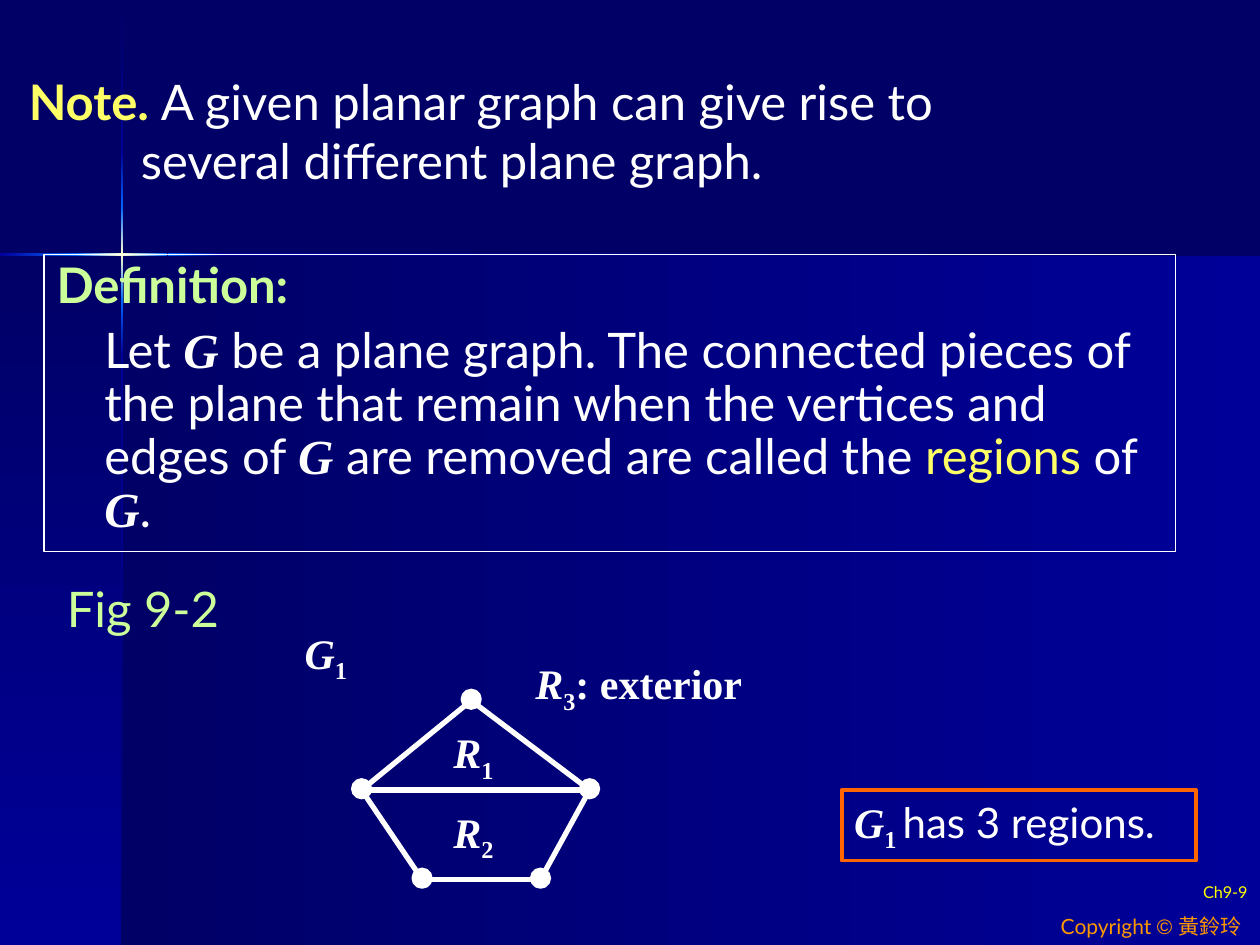
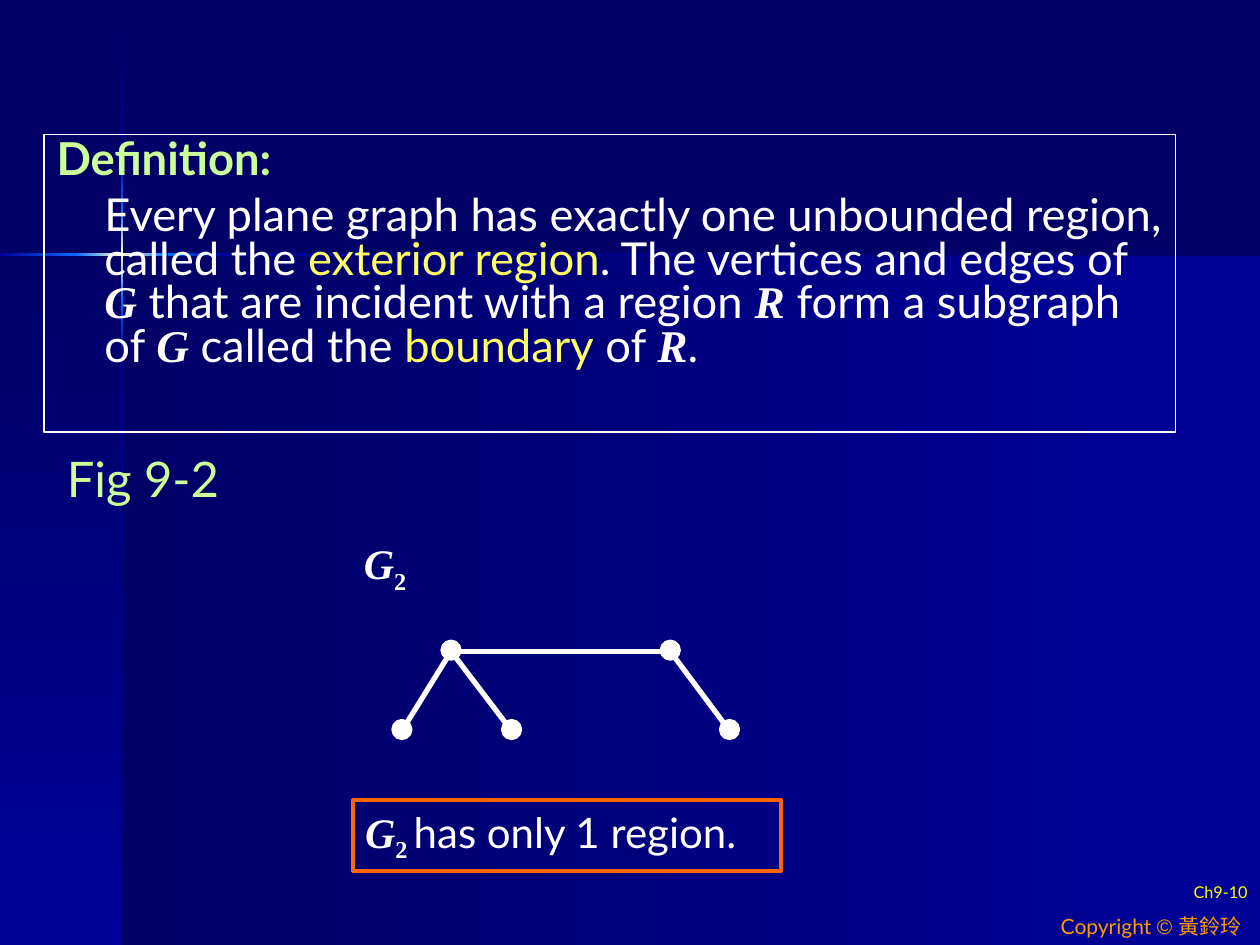
from itertools import pairwise

from pptx import Presentation
from pptx import util as u
from pptx.dml.color import RGBColor
from pptx.enum import shapes, text
from pptx.oxml import parse_xml
from pptx.oxml.ns import nsdecls
from pptx.oxml.xmlchemy import OxmlElement

NAVY = RGBColor(0x00, 0x00, 0x66)
BLUE = RGBColor(0x00, 0x00, 0x99)
AZURE = RGBColor(0x00, 0x66, 0xFF)
CREAM = RGBColor(0xFF, 0xFF, 0xCC)
WHITE = RGBColor(0xFF, 0xFF, 0xFF)
LIME = RGBColor(0xCC, 0xFF, 0x99)
LEMON = RGBColor(0xFF, 0xFF, 0x66)
YELLOW = RGBColor(0xFF, 0xFF, 0x00)
AMBER = RGBColor(0xFF, 0x99, 0x00)
ORANGE = RGBColor(0xFF, 0x66, 0x00)

PLAIN = {"name": "Lato", "bold": False, "italic": False, "color": WHITE}
TERM = PLAIN | {"color": LEMON}
NOTE = TERM | {"bold": True}
FIGURE = PLAIN | {"color": LIME}
HEADING = FIGURE | {"bold": True}
CREDIT = PLAIN | {"color": AMBER}
PAGE = PLAIN | {"color": YELLOW}
SYMBOL = PLAIN | {"name": "Times New Roman", "bold": True, "italic": True}
SERIF = SYMBOL | {"italic": False}
SUB = SERIF | {"baseline": -25000}

DOT = 0.14
G = ("G", SYMBOL)
R = ("R", SYMBOL)


def box(left, top, width, height):
    return [u.Inches(n) for n in (left, top, width, height)]


def write(paragraph, runs, size, margin=0, indent=0, **formats):
    """Fill a paragraph with (text, style) runs; a newline run is a line break."""
    for key, value in formats.items():
        setattr(paragraph, key, value)
    p_pr = paragraph._p.get_or_add_pPr()
    p_pr.set("marL", str(u.Inches(margin)))
    p_pr.set("indent", str(u.Inches(indent)))
    for words, style in runs:
        if words == "\n":
            paragraph.add_line_break()
            continue
        run = paragraph.add_run()
        run.text = words
        run.font.size = u.Pt(size)
        for key, value in style.items():
            if key == "color":
                run.font.color.rgb = value
            elif key == "baseline":
                run._r.get_or_add_rPr().set("baseline", str(value))
            else:
                setattr(run.font, key, value)


def add_label(slide, place, runs, size=24, fit=True, **formats):
    label = slide.shapes.add_textbox(*box(*place))
    frame = label.text_frame
    frame.word_wrap = not fit
    if fit:
        frame.auto_size = text.MSO_AUTO_SIZE.SHAPE_TO_FIT_TEXT
    write(frame.paragraphs[0], runs, size, **formats)
    return label


def add_frame(slide, place, color, weight):
    """Add an unfilled, outlined rectangle and return its text frame."""
    outline = slide.shapes.add_shape(shapes.MSO_SHAPE.RECTANGLE, *box(*place))
    outline.shadow.inherit = False
    outline.fill.background()
    outline.line.color.rgb = color
    outline.line.width = u.Pt(weight)
    frame = outline.text_frame
    frame.word_wrap = True
    frame.vertical_anchor = text.MSO_ANCHOR.TOP
    return frame


def add_definition(slide, top, runs, size, spacing):
    frame = add_frame(slide, (0.35, top, 8.98, 2.36), WHITE, 0.75)
    formats = {"alignment": text.PP_ALIGN.LEFT, "line_spacing": spacing,
               "space_before": u.Pt(7)}
    write(frame.paragraphs[0], [("Definition:", HEADING)], size, **formats)
    write(frame.add_paragraph(), runs, size, margin=0.38, **formats)


def add_conclusion(slide, place, runs):
    frame = add_frame(slide, place, ORANGE, 2.25)
    write(frame.paragraphs[0], runs, 24, alignment=text.PP_ALIGN.LEFT)


def add_figure_title(slide, top):
    title = slide.placeholders[1]
    title.left, title.top, title.width, title.height = box(0.43, top, 1.73, 0.71)
    title.text_frame.auto_size = text.MSO_AUTO_SIZE.NONE
    paragraph = title.text_frame.paragraphs[0]
    write(paragraph, [("Fig 9-2", FIGURE)], 28, space_before=u.Pt(7))
    paragraph._p.get_or_add_pPr().append(OxmlElement("a:buNone"))


def add_graph(slide, vertices, edges):
    """Draw edges, named by two vertex letters, and a dot on each vertex."""
    for start, end in edges:
        ends = [u.Inches(n) for n in vertices[start] + vertices[end]]
        edge = slide.shapes.add_connector(shapes.MSO_CONNECTOR.STRAIGHT, *ends)
        edge.line.color.rgb = WHITE
        edge.line.width = u.Pt(3)
        edge.element.spPr.append(OxmlElement("a:effectLst"))
    for x, y in vertices.values():
        dot = slide.shapes.add_shape(
            shapes.MSO_SHAPE.OVAL, *box(x - 0.07, y - 0.08, DOT, DOT))
        dot.shadow.inherit = False
        dot.fill.solid()
        dot.fill.fore_color.rgb = WHITE
        dot.line.color.rgb = WHITE
        dot.line.width = u.Pt(2)


def add_band(slide, place, colors, angle):
    band = slide.shapes.add_shape(shapes.MSO_SHAPE.RECTANGLE, *box(*place))
    band.shadow.inherit = False
    band.line.fill.background()
    band.fill.background()
    step = 100000 // (len(colors) - 1)
    stops = "".join(f'<a:gs pos="{i * step}"><a:srgbClr val="{color}"/></a:gs>'
                    for i, color in enumerate(colors))
    gradient = parse_xml(
        f'<a:gradFill {nsdecls("a")} rotWithShape="1"><a:gsLst>{stops}</a:gsLst>'
        f'<a:lin ang="{angle * 60000}" scaled="0"/></a:gradFill>')
    sp_pr = band.element.spPr
    sp_pr.replace(sp_pr.find("{*}noFill"), gradient)
    return band


def add_backdrop(slide, layout):
    """Build the bands and the credit, then hand them to the shared layout."""
    glow = [(NAVY, BLUE), (BLUE, AZURE), (AZURE, CREAM, AZURE),
            (AZURE, BLUE), (BLUE, NAVY)]
    parts = [add_band(slide, (0.97, 2.02, 9.03, 5.48), (NAVY, BLUE), 0),
             add_band(slide, (0, 2.02, 0.97, 5.48), (NAVY, BLUE), 90)]
    rows = pairwise((0.01, 1.21, 1.65, 2.38, 2.82, 7.5))
    for (top, bottom), colors in zip(rows, glow):
        parts.append(add_band(slide, (0.96, top, 0.02, bottom - top), colors, 90))
    columns = pairwise((0, 0.6, 1.33, 1.77, 10))
    for (left, right), colors in zip(columns, glow[1:]):
        parts.append(add_band(slide, (left, 2.01, right - left, 0.02), colors, 0))
    parts.append(add_label(
        slide, (8.32, 7.2, 1.72, 0.3),
        [("Copyright ", CREDIT), ("© ", CREDIT | {"name": "Arial"}),
         ("黃鈴玲", CREDIT)], 12))
    for number, part in enumerate(parts, 100):
        part.element.nvSpPr.cNvPr.id = number
        layout.shapes.element.append(part.element)


def new_slide(prs, layout, number):
    slide = prs.slides.add_slide(layout)
    heading = slide.shapes.title.element
    heading.getparent().remove(heading)
    add_label(slide, (7.92, 6.98, 2.08, 0.28), [(f"Ch9-{number}", PAGE)], 9.3,
              fit=False, alignment=text.PP_ALIGN.RIGHT, line_spacing=0.8)
    return slide


def build_regions(slide):
    add_definition(slide, 2.02, [
        ("Let ", PLAIN), G,
        (" be a plane graph. The connected pieces of the plane that remain "
         "when the vertices and edges of ", PLAIN), G,
        (" are removed are called the ", PLAIN), ("regions", TERM),
        (" of ", PLAIN), G, (".", PLAIN)], 28, 0.9)
    add_label(slide, (0.13, 0.52, 8.02, 1.04), [
        ("Note. ", NOTE), ("A given planar graph can give rise to", PLAIN),
        ("\n", PLAIN), ("several different plane graph.", PLAIN)], 28,
        fit=False, margin=0.89, indent=-0.89)
    add_figure_title(slide, 4.54)
    pentagon = {"a": (3.74, 5.56), "b": (4.68, 6.27), "c": (4.29, 6.98),
                "d": (3.35, 6.98), "e": (2.87, 6.27)}
    add_graph(slide, pentagon, ("ab", "bc", "cd", "de", "ea", "be"))
    add_label(slide, (2.32, 4.93, 0.54, 0.56), [G, ("1", SUB)])
    add_label(slide, (4.15, 5.17, 1.84, 0.56),
              [R, ("3", SUB), (": exterior", SERIF)])
    for region, top in (("1", 5.72), ("2", 6.35)):
        add_label(slide, (3.5, top, 0.52, 0.56), [R, (region, SUB)])
    add_conclusion(slide, (6.68, 6.27, 2.81, 0.56),
                   [G, ("1 ", SUB), ("has 3 regions.", PLAIN)])


def build_exterior(slide):
    add_definition(slide, 1.07, [
        ("Every plane graph has exactly one unbounded region, called the ", PLAIN),
        ("exterior region", TERM), (". The vertices and edges of ", PLAIN), G,
        (" that are incident with a region ", PLAIN), R,
        (" form a subgraph of ", PLAIN), G, (" called the", PLAIN),
        (" boundary", TERM), (" of ", PLAIN), R, (".", PLAIN)], 25.9, 0.8)
    add_figure_title(slide, 3.51)
    tree = {"a": (3.58, 5.17), "b": (5.32, 5.17), "c": (3.19, 5.8),
            "d": (4.06, 5.8), "e": (5.79, 5.8)}
    add_graph(slide, tree, ("ab", "ac", "ad", "be"))
    add_label(slide, (2.79, 4.22, 0.54, 0.56), [G, ("2", SUB)])
    add_conclusion(slide, (2.8, 6.35, 3.4, 0.56),
                   [G, ("2 ", SUB), ("has only 1 region.", PLAIN)])


def main():
    prs = Presentation()
    prs.slide_width, prs.slide_height = u.Inches(10), u.Inches(7.5)
    backdrop = prs.slide_master.background.fill
    backdrop.solid()
    backdrop.fore_color.rgb = NAVY
    layout = prs.slide_layouts[1]
    for number, build in enumerate((build_regions, build_exterior), 9):
        slide = new_slide(prs, layout, number)
        if number == 9:
            add_backdrop(slide, layout)
        build(slide)
    prs.save("out.pptx")


if __name__ == "__main__":
    main()
